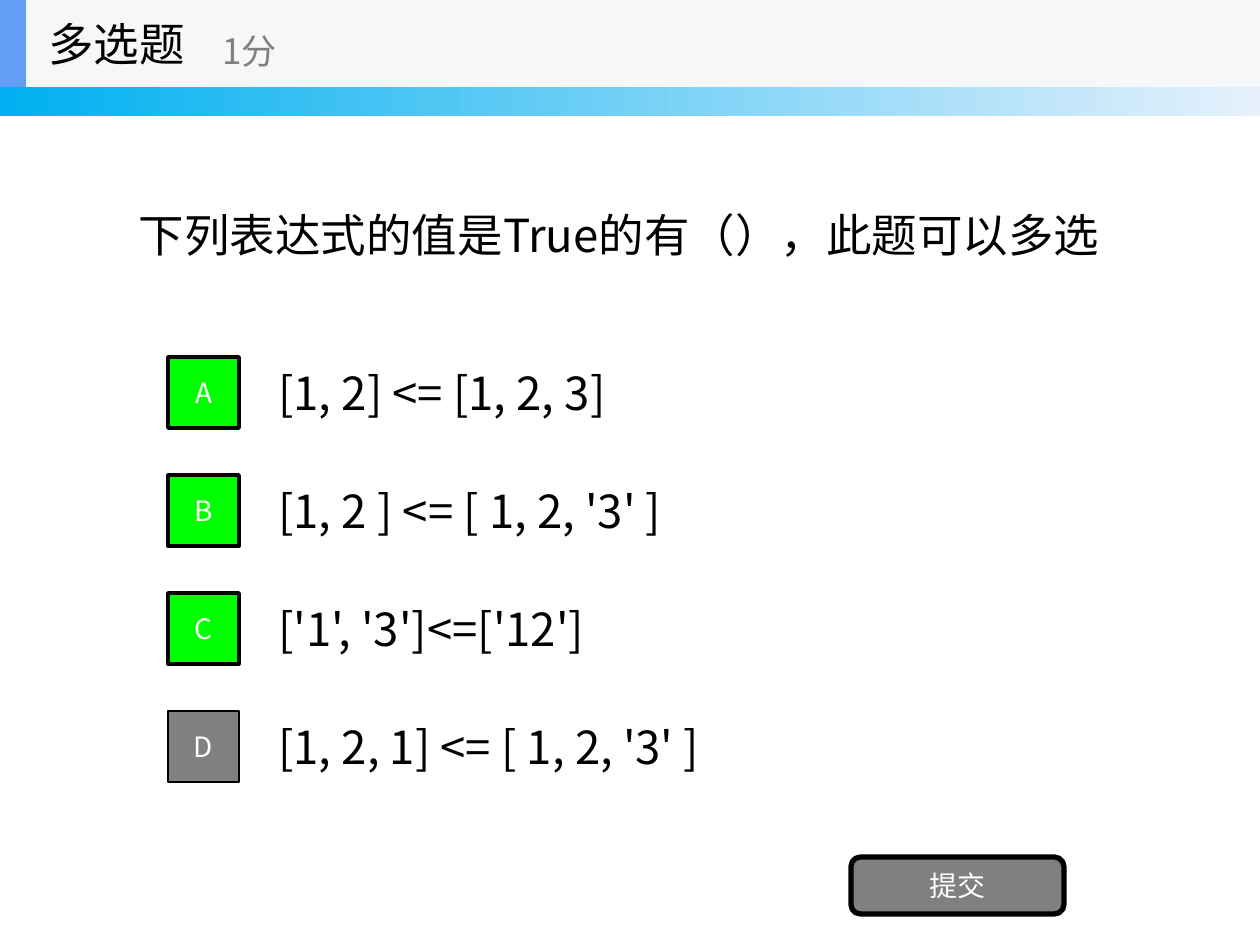
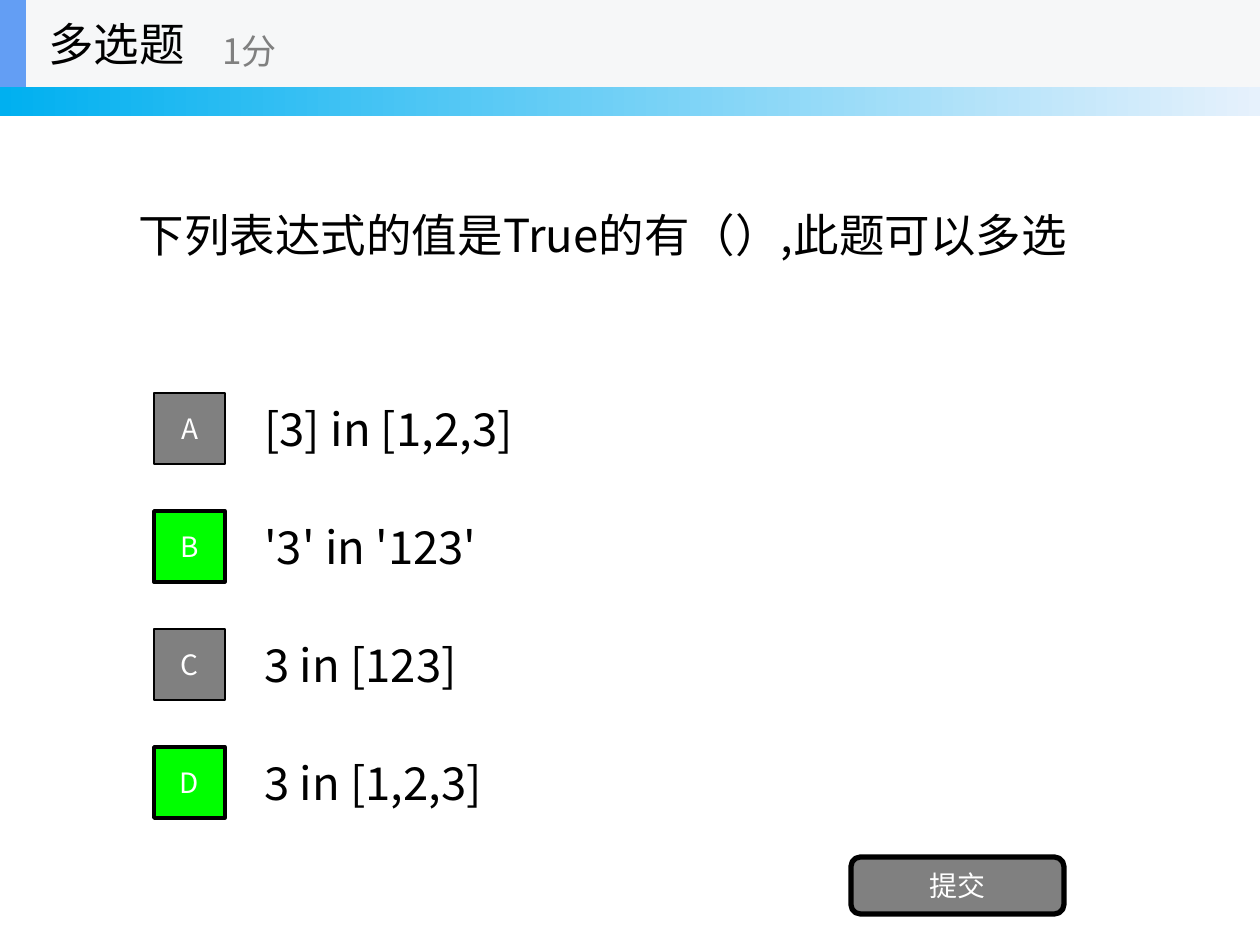
import pptx
import pptx.dml.color
import pptx.enum.shapes
import pptx.enum.text
import pptx.oxml
import pptx.oxml.ns
import pptx.util

RGBColor = pptx.dml.color.RGBColor
SHAPE = pptx.enum.shapes.MSO_SHAPE
ALIGN = pptx.enum.text.PP_ALIGN
ANCHOR = pptx.enum.text.MSO_ANCHOR

BLACK = RGBColor(0x00, 0x00, 0x00)
WHITE = RGBColor(0xFF, 0xFF, 0xFF)
GREY = RGBColor(0x80, 0x80, 0x80)
GREEN = RGBColor(0x00, 0xFF, 0x00)
HEADER = RGBColor(0xF6, 0xF7, 0xF8)
ACCENT = RGBColor(0x63, 0x9E, 0xF4)
BAND_START = RGBColor(0x00, 0xB0, 0xF0)
BAND_END = RGBColor(0xE6, 0xF1, 0xFC)

FONT = "Noto Sans CJK SC"
PX_PER_INCH = 126
WIDTH, HEIGHT = 1260, 945
HEADER_HEIGHT = 87
OPTION_STEP = 118
OPTION_HEIGHT = 88
CHIP_SIZE = 71
CHIP_TO_TEXT = 98


def px(length):
    return pptx.util.Emu(round(length * 914400 / PX_PER_INCH))


class Quiz:
    def __init__(self):
        self.deck = pptx.Presentation()
        self.deck.slide_width, self.deck.slide_height = px(WIDTH), px(HEIGHT)
        self.page = None

    def fill_text(self, box, text, size, color, align=ALIGN.LEFT):
        frame = box.text_frame
        frame.word_wrap = True
        frame.auto_size = pptx.enum.text.MSO_AUTO_SIZE.NONE
        frame.vertical_anchor = ANCHOR.MIDDLE
        para = frame.paragraphs[0]
        para.alignment = align
        span = para.add_run()
        span.text = text
        span.font.size = pptx.util.Pt(size)
        span.font.name = FONT
        span.font.color.rgb = color
        east_asian = pptx.oxml.parse_xml(
            f'<a:ea {pptx.oxml.ns.nsdecls("a")} typeface="{FONT}"/>')
        span.font._element.find(pptx.oxml.ns.qn("a:latin")).addnext(east_asian)

    def text(self, text, left, top, width, height, size=26, color=BLACK):
        box = self.page.shapes.add_textbox(px(left), px(top), px(width), px(height))
        self.fill_text(box, text, size, color)

    def block(self, left, top, width, height, fill=None, kind=SHAPE.RECTANGLE):
        shape = self.page.shapes.add_shape(
            kind, px(left), px(top), px(width), px(height))
        shape.shadow.inherit = False
        shape.line.fill.background()
        if fill is not None:
            shape.fill.solid()
            shape.fill.fore_color.rgb = fill
        return shape

    def button(self, text, left, top, width, height, fill, border,
               kind=SHAPE.RECTANGLE):
        shape = self.block(left, top, width, height, fill, kind)
        shape.line.color.rgb = BLACK
        shape.line.width = pptx.util.Pt(border)
        self.fill_text(shape, text, 16, WHITE, ALIGN.CENTER)

    def gradient_band(self):
        band = self.block(0, 0, WIDTH, 116)
        band.fill.gradient()
        band.fill.gradient_angle = 0
        for stop, color in zip(band.fill.gradient_stops, (BAND_START, BAND_END)):
            stop.color.rgb = color

    def header(self):
        self.gradient_band()
        self.block(0, 0, WIDTH, HEADER_HEIGHT, HEADER)
        self.block(0, 0, 26, HEADER_HEIGHT, ACCENT)
        self.text("多选题", 36, 0, 262, HEADER_HEIGHT)
        self.text("1分", 210, 15, 315, 71, 20, GREY)

    def question(self, text):
        title = self.page.shapes.title
        title.left, title.top = px(126), px(HEADER_HEIGHT)
        title.width, title.height = px(1008), px(295)
        self.fill_text(title, text, 26, BLACK)

    def options(self, left, top, expressions, answers):
        """Stack the lettered options, with the right answers in green."""
        chip_offset = (OPTION_HEIGHT - CHIP_SIZE + 1) // 2
        for row, (letter, expression) in enumerate(zip("ABCD", expressions)):
            row_top = top + row * OPTION_STEP
            fill, border = (GREEN, 2) if letter in answers else (GREY, 1)
            self.text(expression, left + CHIP_TO_TEXT, row_top, 882, OPTION_HEIGHT)
            self.button(letter, left, row_top + chip_offset,
                        CHIP_SIZE, CHIP_SIZE, fill, border)

    def add_page(self, question, left, top, expressions, answers):
        self.page = self.deck.slides.add_slide(self.deck.slide_layouts[5])
        self.header()
        self.question(question)
        self.options(left, top, expressions, answers)
        self.button("提交", 851, 857, 213, 57, GREY, 3, SHAPE.ROUNDED_RECTANGLE)


def main():
    quiz = Quiz()
    quiz.add_page(
        "下列表达式的值是True的有（），此题可以多选", 168, 348,
        ["[1, 2] <= [1, 2, 3]", "[1, 2 ] <= [ 1, 2, '3' ]",
         "['1', '3']<=['12']", "[1, 2, 1] <= [ 1, 2, '3' ]"], "ABC")
    quiz.add_page(
        "下列表达式的值是True的有（）,此题可以多选", 154, 384,
        ["[3] in [1,2,3]", "'3' in '123'", "3 in [123]", "3 in [1,2,3]"], "BD")
    quiz.deck.save("out.pptx")


if __name__ == "__main__":
    main()
